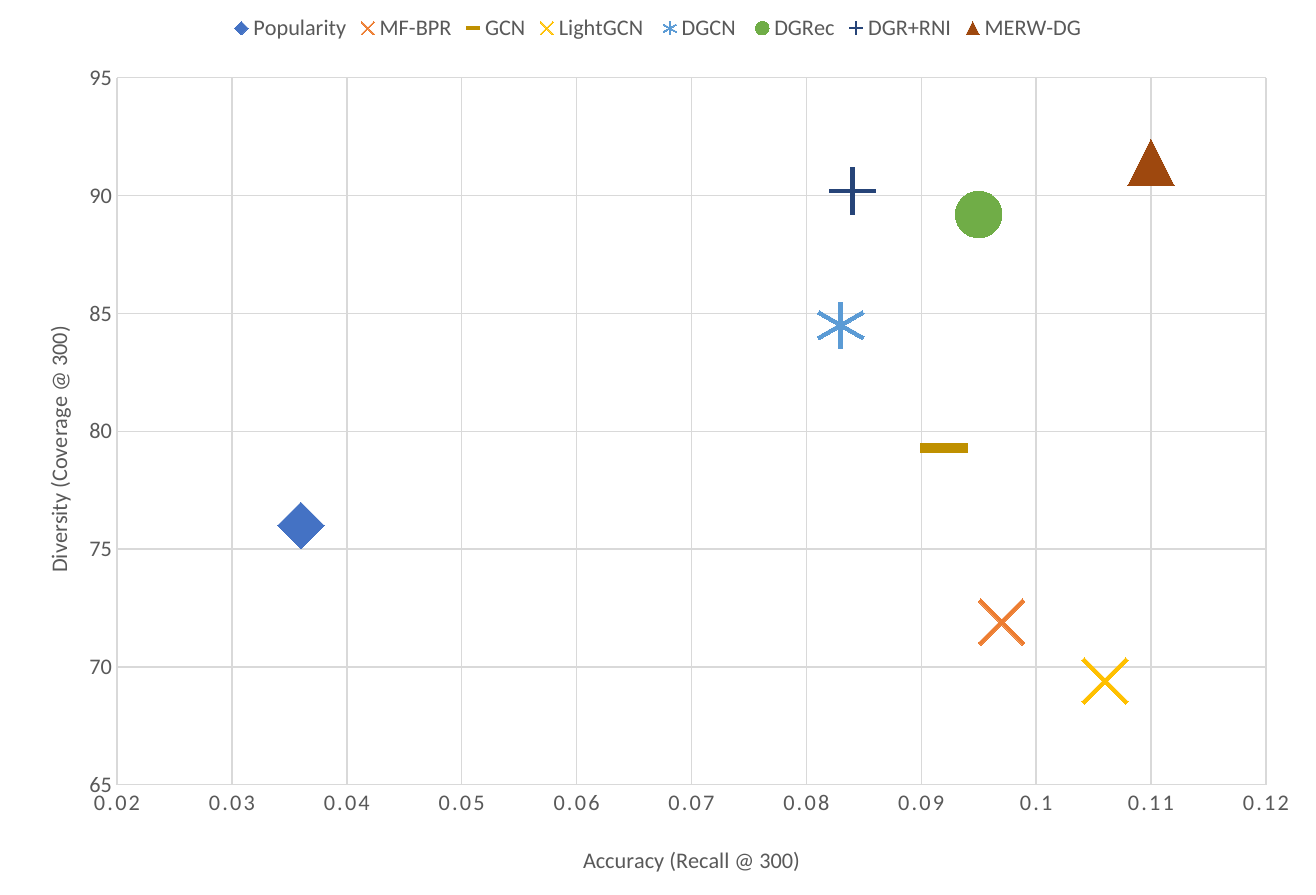
from dataclasses import dataclass

from lxml.etree import SubElement
from pptx import Presentation
from pptx.chart.data import XyChartData
from pptx.dml.color import RGBColor
from pptx.enum.chart import (XL_CHART_TYPE, XL_LEGEND_POSITION,
                             XL_MARKER_STYLE, XL_TICK_MARK)
from pptx.oxml.ns import qn
from pptx.util import Cm, Pt


@dataclass(frozen=True)
class Theme:
    font: str = "Calibri"
    text: str = "595959"
    grid: str = "D9D9D9"
    text_size: float = 12
    grid_width: float = 0.75
    marker_size: int = 25
    marker_line: float = 2


THEME = Theme()

# name, recall, coverage, colour, marker
MODELS = [
    ("Popularity", 0.036, 76, "4472C4", XL_MARKER_STYLE.DIAMOND),
    ("MF-BPR", 0.097, 71.9, "ED7D31", XL_MARKER_STYLE.X),
    ("GCN", 0.092, 79.3, "BF9000", XL_MARKER_STYLE.DASH),
    ("LightGCN ", 0.106, 69.4, "FFC000", XL_MARKER_STYLE.X),
    ("DGCN ", 0.083, 84.5, "5B9BD5", XL_MARKER_STYLE.STAR),
    ("DGRec", 0.095, 89.2, "70AD47", XL_MARKER_STYLE.CIRCLE),
    ("DGR+RNI", 0.084, 90.2, "264478", XL_MARKER_STYLE.PLUS),
    ("MERW-DG", 0.11, 91.4, "9E480E", XL_MARKER_STYLE.TRIANGLE),
]


def style_font(font):
    font.name = THEME.font
    font.size = Pt(THEME.text_size)
    font.bold = False
    font.color.rgb = RGBColor.from_string(THEME.text)


def style_line(line, colour, width):
    line.color.rgb = RGBColor.from_string(colour)
    line.width = Pt(width)


def set_layout(parent, index, **fractions):
    """Place a chart part by fractions of the chart, as child number index."""
    for old in parent.findall(qn("c:layout")):
        parent.remove(old)
    layout = SubElement(parent, qn("c:layout"))
    parent.insert(index, layout)
    manual = SubElement(layout, qn("c:manualLayout"))
    if "w" in fractions:
        SubElement(manual, qn("c:layoutTarget")).set("val", "inner")
    for side in ("x", "y"):
        SubElement(manual, qn(f"c:{side}Mode")).set("val", "edge")
    for key, value in fractions.items():
        SubElement(manual, qn(f"c:{key}")).set("val", str(value))


def style_axis(axis, title, low, high, step, title_x, title_y):
    axis.minimum_scale, axis.maximum_scale = low, high
    axis.major_unit = step
    axis.major_tick_mark = axis.minor_tick_mark = XL_TICK_MARK.NONE
    axis.has_major_gridlines = True
    for line in (axis.format.line, axis.major_gridlines.format.line):
        style_line(line, THEME.grid, THEME.grid_width)
    labels = axis.tick_labels
    labels.number_format, labels.number_format_is_linked = "General", False
    style_font(labels.font)
    heading = axis.axis_title.text_frame
    heading.text = title
    style_font(heading.paragraphs[0].font)
    set_layout(axis.axis_title._element, 1, x=title_x, y=title_y)


def style_series(series, colour, marker_style):
    series.format.line.fill.background()
    marker = series.marker
    marker.style = marker_style
    marker.size = THEME.marker_size
    marker.format.fill.solid()
    marker.format.fill.fore_color.rgb = RGBColor.from_string(colour)
    style_line(marker.format.line, colour, THEME.marker_line)


def add_tradeoff_chart(slide, left, top, width, height):
    data = XyChartData()
    for name, recall, coverage, *_ in MODELS:
        data.add_series(name).add_data_point(recall, coverage)
    chart = slide.shapes.add_chart(XL_CHART_TYPE.XY_SCATTER, left, top,
                                   width, height, data).chart
    chart.has_title = False
    style_font(chart.font)
    chart.has_legend = True
    chart.legend.position = XL_LEGEND_POSITION.TOP
    chart.legend.include_in_layout = False
    style_font(chart.legend.font)

    plot = chart.plots[0]
    plot.vary_by_categories = False
    for series, (*_, colour, marker_style) in zip(plot.series, MODELS):
        style_series(series, colour, marker_style)

    accuracy, diversity = chart.category_axis, chart.value_axis
    style_axis(accuracy, "Accuracy (Recall @ 300)", 0.02, 0.12, 0.01, 0.44, 0.94)
    style_axis(diversity, "Diversity (Coverage @ 300)", 65, 95, 5, 0.03, 0.36)
    for run_defaults in accuracy._element.find(qn("c:txPr")).iter(qn("a:defRPr")):
        run_defaults.set("spc", "120")
    set_layout(accuracy._element.getparent(), 0, x=0.089, y=0.087, w=0.873, h=0.79)


def main():
    deck = Presentation()
    deck.slide_width, deck.slide_height = Cm(24.99), Cm(16.99)
    slide = deck.slides.add_slide(deck.slide_layouts[6])
    add_tradeoff_chart(slide, Cm(0), Cm(0), deck.slide_width, deck.slide_height)
    deck.save("out.pptx")


if __name__ == "__main__":
    main()
